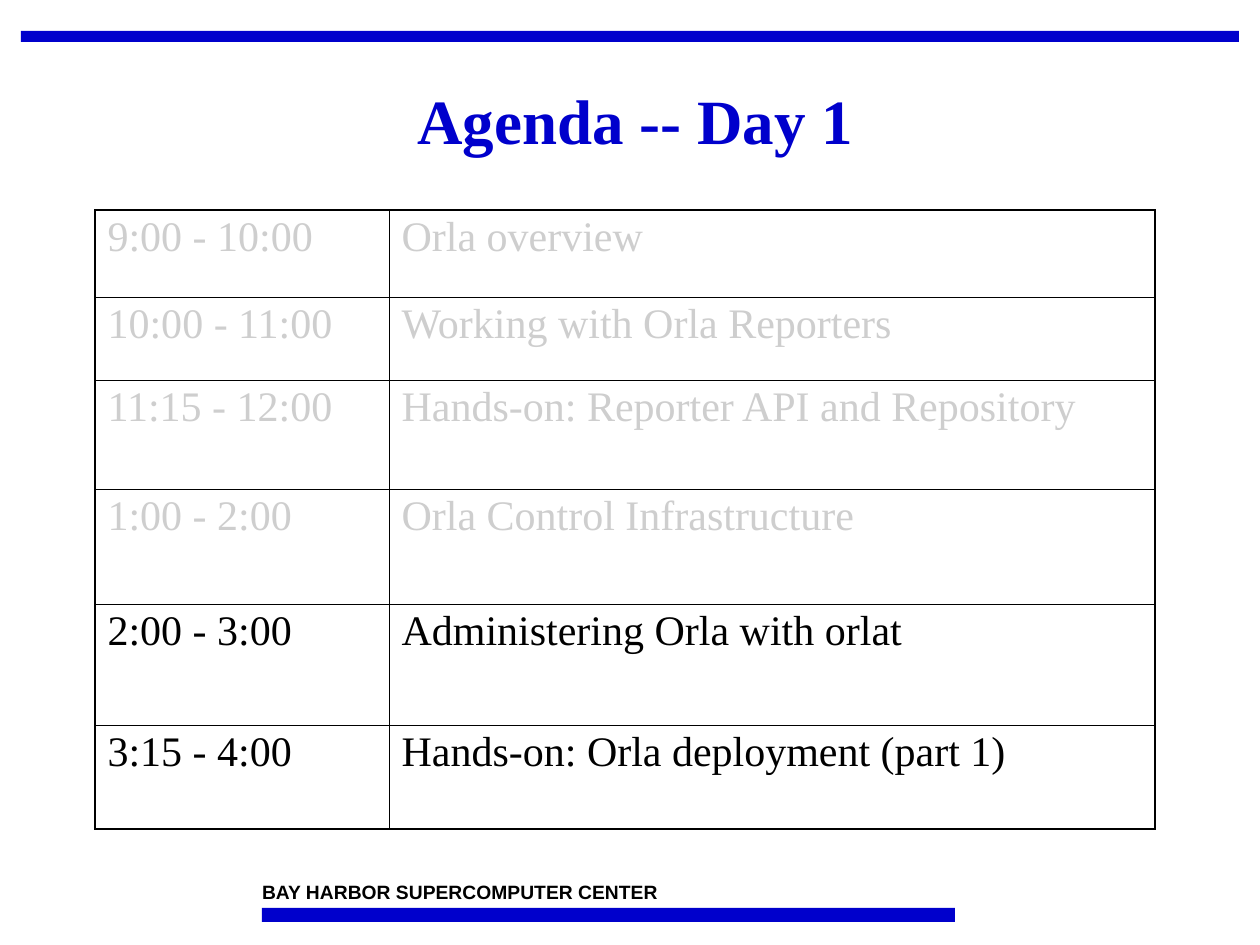
import pptx
import pptx.dml.color
import pptx.enum.shapes
import pptx.enum.text
import pptx.oxml.ns
import pptx.util
from lxml import etree

EMU_PER_PX = 914400 / 126
BLUE = pptx.dml.color.RGBColor(0x00, 0x00, 0xCC)
BLACK = pptx.dml.color.RGBColor(0x00, 0x00, 0x00)
GREY = pptx.dml.color.RGBColor(0xCE, 0xCE, 0xCE)
WHITE = pptx.dml.color.RGBColor(0xFF, 0xFF, 0xFF)
THIN, THICK = 0.45, 1.08


def px(*lengths):
    return [pptx.util.Emu(round(length * EMU_PER_PX)) for length in lengths]


def write(paragraph, text, color, font_format, paragraph_format):
    run = paragraph.add_run()
    run.text = text
    run.font.color.rgb = color
    for name, value in font_format.items():
        setattr(run.font, name, value)
    for name, value in paragraph_format.items():
        setattr(paragraph, name, value)


presentation = pptx.Presentation()
presentation.slide_width, presentation.slide_height = px(1260, 945)
slide = presentation.slides.add_slide(presentation.slide_layouts[6])

for bar in [(21, 31, 1218, 11), (262, 908, 693, 14)]:
    shape = slide.shapes.add_shape(pptx.enum.shapes.MSO_SHAPE.RECTANGLE, *px(*bar))
    shape.shadow.inherit = False
    shape.fill.solid()
    shape.fill.fore_color.rgb = BLUE
    shape.line.fill.background()

footer = slide.shapes.add_textbox(*px(262, 880, 473, 23)).text_frame
footer_frame_format = {
    "word_wrap": True,
    "margin_left": 0,
    "margin_top": 0,
    "margin_right": 0,
    "margin_bottom": 0,
}
for name, value in footer_frame_format.items():
    setattr(footer, name, value)
footer_font = {"name": "Arial", "size": pptx.util.Pt(11), "bold": True}
write(footer.paragraphs[0], "BAY HARBOR SUPERCOMPUTER CENTER", BLACK, footer_font, {})

title = slide.shapes.add_textbox(*px(52, 52, 1166, 144)).text_frame
title.word_wrap = True
title.vertical_anchor = pptx.enum.text.MSO_ANCHOR.MIDDLE
title_font = {"name": "Times New Roman", "size": pptx.util.Pt(36), "bold": True}
title_paragraph = {"alignment": pptx.enum.text.PP_ALIGN.CENTER, "line_spacing": 0.9}
write(title.paragraphs[0], "Agenda -- Day 1", BLUE, title_font, title_paragraph)

agenda = [
    (87, GREY, "9:00 - 10:00", "Orla overview"),
    (83, GREY, "10:00 - 11:00", "Working with Orla Reporters"),
    (109, GREY, "11:15 - 12:00", "Hands-on: Reporter API and Repository"),
    (115, GREY, "1:00 - 2:00", "Orla Control Infrastructure"),
    (121, BLACK, "2:00 - 3:00", "Administering Orla with orlat"),
    (104, BLACK, "3:15 - 4:00", "Hands-on: Orla deployment (part 1)"),
]
column_widths = [294, 766]
table_height = sum(height for height, *_ in agenda)
table = slide.shapes.add_table(
    len(agenda), 2, *px(95, 210, sum(column_widths), table_height)
).table
for column, width in zip(table.columns, px(*column_widths)):
    column.width = width

cell_font = {"name": "Times New Roman", "size": pptx.util.Pt(24), "bold": False}
cell_paragraph = {"line_spacing": 0.95, "space_before": pptx.util.Pt(6)}
last_row = len(agenda) - 1
for row_index, (height, color, *texts) in enumerate(agenda):
    table.rows[row_index].height = px(height)[0]
    for column_index, text in enumerate(texts):
        cell = table.cell(row_index, column_index)
        write(cell.text_frame.paragraphs[0], text, color, cell_font, cell_paragraph)
        properties = cell._tc.get_or_add_tcPr()
        outer_edges = {
            "a:lnL": column_index == 0,
            "a:lnR": column_index == 1,
            "a:lnT": row_index == 0,
            "a:lnB": row_index == last_row,
        }
        for tag, is_outer in outer_edges.items():
            line = etree.SubElement(properties, pptx.oxml.ns.qn(tag))
            line.set("w", str(pptx.util.Pt(THICK if is_outer else THIN)))
            fill = etree.SubElement(line, pptx.oxml.ns.qn("a:solidFill"))
            etree.SubElement(fill, pptx.oxml.ns.qn("a:srgbClr")).set("val", str(BLACK))
        cell.fill.solid()
        cell.fill.fore_color.rgb = WHITE

presentation.save("out.pptx")
